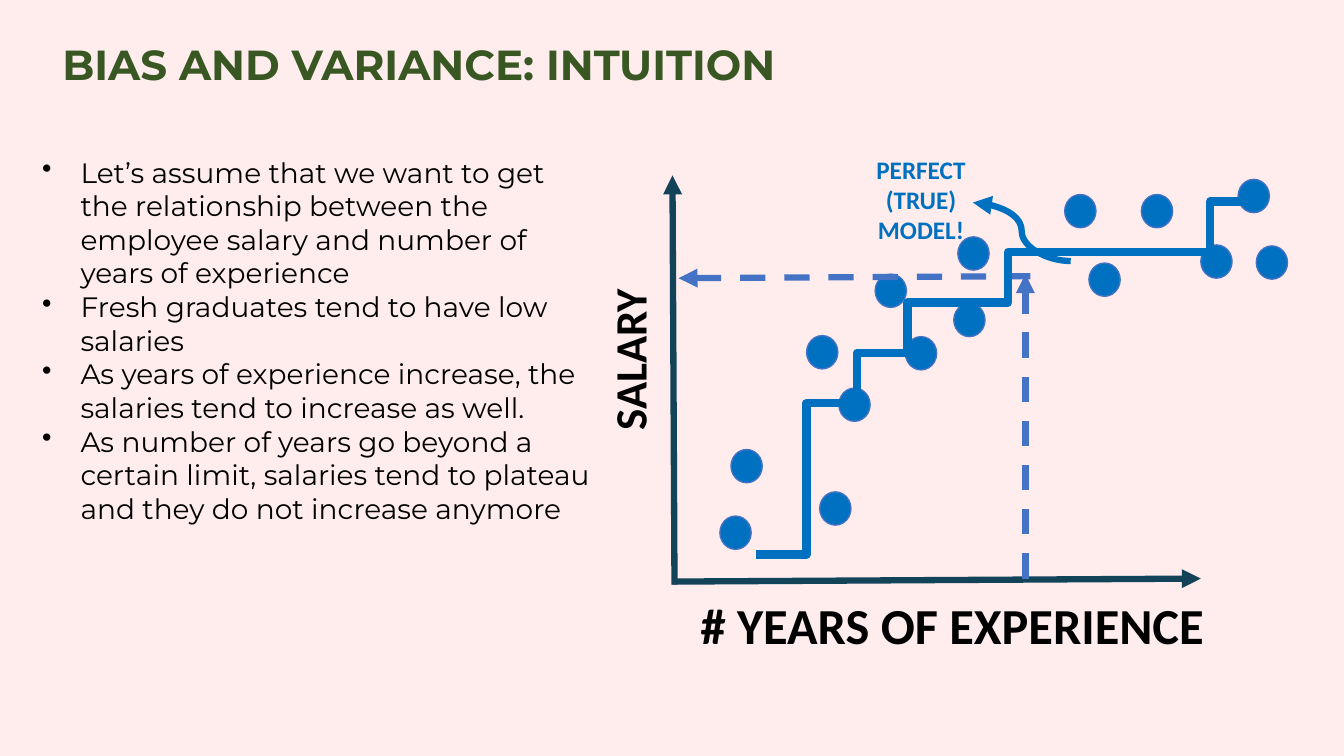
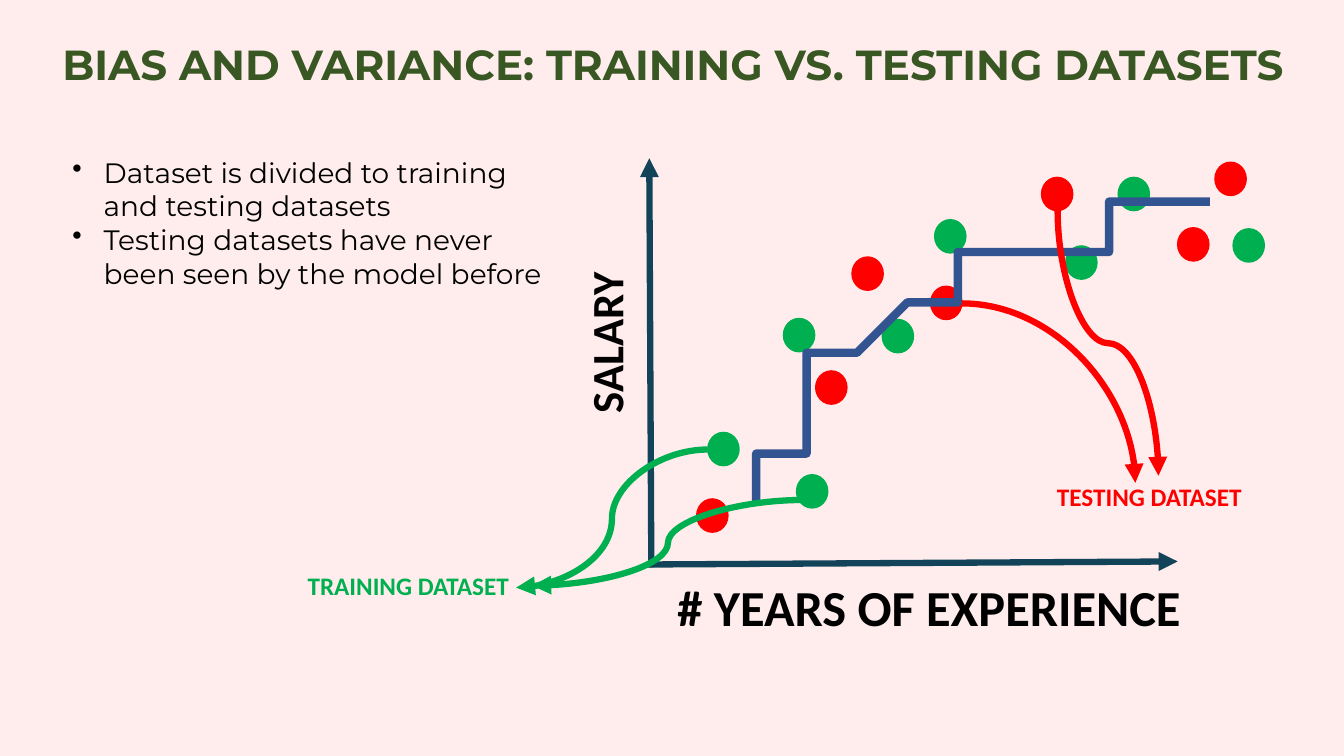
from lxml.etree import SubElement
from pptx import Presentation
from pptx.dml.color import RGBColor
from pptx.enum.dml import MSO_LINE
from pptx.enum.shapes import MSO_CONNECTOR, MSO_SHAPE
from pptx.enum.text import MSO_AUTO_SIZE, PP_ALIGN
from pptx.oxml import parse_xml
from pptx.oxml.ns import nsdecls, qn
from pptx.util import Inches, Pt

WIDTH, HEIGHT = Inches(13.33), Inches(7.5)
ROWS = 15
CELL = HEIGHT / ROWS

PINK, OLIVE, BLACK, TEAL = "FFEDED", "385723", "000000", "124359"
BLUE, EDGE_BLUE, NAVY = "0070C0", "4472C4", "325491"
GREEN, RED = "00B050", "FF0000"
HEAD_FONT, CHART_FONT = "Montserrat", "Calibri"

DOT_W, DOT_H = 0.62, 0.66
TRAINING_DOTS = [(2.97, 4.55), (3.23, 1.45), (5.97, 6.51), (1.47, 2.29),
                 (4.93, 4.53), (9.61, 7.35), (8.57, 5.99), (11.89, 6.33)]
TESTING_DOTS = [(4.33, 5.77), (1.25, 0.97), (5.89, 5.19), (3.61, 3.51),
                (10.79, 6.35), (8.09, 7.35), (11.53, 7.65)]
MODEL_CURVE = [(2.1, 0.7), (2.38, 1.68), (2.66, 2.64), (3.28, 3.46),
               (3.9, 4.26), (4.86, 5.02), (5.82, 5.56),
               (6.8, 6.1), (8.2, 6.44), (9.12, 6.68),
               (10.04, 6.94), (11.08, 7.26), (11.36, 7.06)]
STEPS = 24


def rgb(color):
    return RGBColor.from_string(color)


def cells(*counts):
    return [round(n * CELL) for n in counts]


def add_text(slide, box, lines, size, color=BLACK, font=HEAD_FONT, bold=True,
             align=PP_ALIGN.LEFT, wrap=True, indent=None):
    sp = slide.shapes.add_textbox(*cells(*box))
    tf = sp.text_frame
    tf.word_wrap = wrap
    tf.auto_size = MSO_AUTO_SIZE.SHAPE_TO_FIT_TEXT
    tf.text = "\n".join(lines)
    for p in tf.paragraphs:
        p.alignment = align
        p.font.name, p.font.size, p.font.bold = font, Pt(size), bold
        p.font.color.rgb = rgb(color)
        if indent:
            pPr = p._p.get_or_add_pPr()
            pPr.set("marL", str(Inches(indent)))
            pPr.set("indent", str(-Inches(indent)))
            pPr.insert(0, parse_xml(f'<a:buChar {nsdecls("a")} char="•"/>'))
    return sp


def add_title(slide, text, width):
    add_text(slide, (1.04, 0.66, width, 1.22), [text], 30, OLIVE)


def add_bullets(slide, box, lines, indent):
    add_text(slide, box, lines, 20, bold=False, indent=indent)


def add_arrow(slide, begin, end, color, kind=MSO_CONNECTOR.STRAIGHT, dashed=False):
    line = slide.shapes.add_connector(kind, *cells(*begin, *end))
    line.line.color.rgb = rgb(color)
    line.line.width = Pt(4.5)
    if dashed:
        line.line.dash_style = MSO_LINE.DASH
    SubElement(line.line._get_or_add_ln(), qn("a:tailEnd"), type="triangle")
    SubElement(line._element.spPr, qn("a:effectLst"))
    return line


def add_curved_arrow(slide, begin, end, color):
    return add_arrow(slide, begin, end, color, MSO_CONNECTOR.CURVE)


def add_quarter_arrow(slide, begin, end, color):
    line = add_curved_arrow(slide, begin, end, color)
    line._element.spPr.find(qn("a:prstGeom")).set("prst", "curvedConnector2")


def add_upright_curved_arrow(slide, begin, end, color):
    (x1, y1), (x2, y2) = begin, end
    cx, cy = (x1 + x2) / 2, (y1 + y2) / 2
    dx, dy = (x2 - x1) / 2, (y2 - y1) / 2
    line = add_curved_arrow(slide, (cx + dy, cy - dx), (cx - dy, cy + dx), color)
    line._element.spPr.find(qn("a:xfrm")).set("rot", str(270 * 60000))


def bezier(points, t):
    weights = (1 - t) ** 3, 3 * t * (1 - t) ** 2, 3 * t * t * (1 - t), t ** 3
    return tuple(sum(w * p[axis] for w, p in zip(weights, points)) for axis in (0, 1))


class Plot:
    def __init__(self, slide, left, bottom):
        self.slide, self.left, self.bottom = slide, left, bottom

    def at(self, x, up):
        return self.left + x, self.bottom - up

    def axes(self):
        self.arrow((0, 0), (10.48, 0.06), TEAL)
        self.arrow((0.04, -0.06), (0, 8.06), TEAL)
        self.label("# YEARS OF EXPERIENCE", (0.36, -0.14), (10.48, 1.42), 36, wrap=False)
        salary = self.label("SALARY", (-2.48, 5.06), (3.24, 1.28), 32, wrap=False)
        salary.rotation = 270

    def label(self, text, corner, size, points, color=BLACK, align=PP_ALIGN.LEFT, wrap=True):
        return add_text(self.slide, (*self.at(*corner), *size), [text], points,
                        color, CHART_FONT, align=align, wrap=wrap)

    def note(self, text, corner, size, color):
        self.label(text, corner, size, 18, color, PP_ALIGN.CENTER)

    def dots(self, centres, fill, edge):
        for centre in centres:
            x, y = self.at(*centre)
            box = cells(x - DOT_W / 2, y - DOT_H / 2, DOT_W, DOT_H)
            sp = self.slide.shapes.add_shape(MSO_SHAPE.OVAL, *box)
            sp.shadow.inherit = False
            sp.fill.solid()
            sp.fill.fore_color.rgb = rgb(fill)
            sp.line.color.rgb = rgb(edge)
            sp.line.width = Pt(1)

    def model(self, color):
        points = [self.at(*MODEL_CURVE[0])]
        for i in range(0, len(MODEL_CURVE) - 1, 3):
            piece = MODEL_CURVE[i:i + 4]
            points += [self.at(*bezier(piece, k / STEPS)) for k in range(1, STEPS + 1)]
        builder = self.slide.shapes.build_freeform(*points[0], scale=CELL)
        builder.add_line_segments(points[1:], close=False)
        sp = builder.convert_to_shape()
        sp.shadow.inherit = False
        sp.fill.background()
        sp.line.color.rgb = rgb(color)
        sp.line.width = Pt(6)

    def arrow(self, begin, end, color, draw=add_arrow, **style):
        draw(self.slide, self.at(*begin), self.at(*end), color, **style)


def add_intuition(slide):
    add_title(slide, "BIAS AND VARIANCE: INTUITION", 21.5)
    add_bullets(slide, (0.64, 2.98, 11.38, 8.28), [
        "Let’s assume that we want to get the relationship between the employee "
        "salary and number of years of experience",
        "Fresh graduates tend to have low salaries",
        "As years of experience increase, the salaries tend to increase as well.",
        "As number of years go beyond a certain limit, salaries tend to plateau "
        "and they do not increase anymore",
    ], 0.38)
    plot = Plot(slide, 13.34, 11.54)
    plot.axes()
    plot.dots(TRAINING_DOTS + TESTING_DOTS, BLUE, EDGE_BLUE)
    plot.arrow((7, 0.06), (7, 6.1), EDGE_BLUE, dashed=True)
    plot.arrow((7.1, 6.06), (0.12, 6.02), EDGE_BLUE, dashed=True)
    plot.model(BLUE)
    plot.arrow((7.9, 6.36), (5.96, 7.52), BLUE, add_curved_arrow)
    plot.note("PERFECT (TRUE) MODEL!", (3.16, 8.58), (3.54, 2.02), BLUE)


def add_datasets(slide):
    add_title(slide, "BIAS AND VARIANCE: TRAINING VS. TESTING DATASETS", 25.6)
    add_bullets(slide, (1.24, 2.98, 10.12, 2.9), [
        "Dataset is divided to training and testing datasets",
        "Testing datasets have never been seen by the model before",
    ], 0.31)
    plot = Plot(slide, 12.88, 11.2)
    plot.axes()
    plot.dots(TRAINING_DOTS, GREEN, GREEN)
    plot.dots(TESTING_DOTS, RED, RED)
    plot.model(NAVY)
    plot.arrow((1.16, 2.28), (-2.64, -0.46), GREEN, add_curved_arrow)
    plot.arrow((3.06, 1.28), (-2.32, -0.42), GREEN, add_curved_arrow)
    plot.arrow((6.2, 5.18), (9.64, 1.62), RED, add_quarter_arrow)
    plot.arrow((8.1, 7.02), (10.1, 1.76), RED, add_upright_curved_arrow)
    plot.note("TRAINING DATASET", (-7.24, -0.02), (4.92, 0.8), GREEN)
    plot.note("TESTING DATASET", (7.46, 1.74), (4.92, 0.8), RED)


def main():
    prs = Presentation()
    prs.slide_width, prs.slide_height = WIDTH, HEIGHT
    fill = prs.slide_master.background.fill
    fill.solid()
    fill.fore_color.rgb = rgb(PINK)
    for build in (add_intuition, add_datasets):
        build(prs.slides.add_slide(prs.slide_layouts[6]))
    prs.save("out.pptx")


if __name__ == "__main__":
    main()
